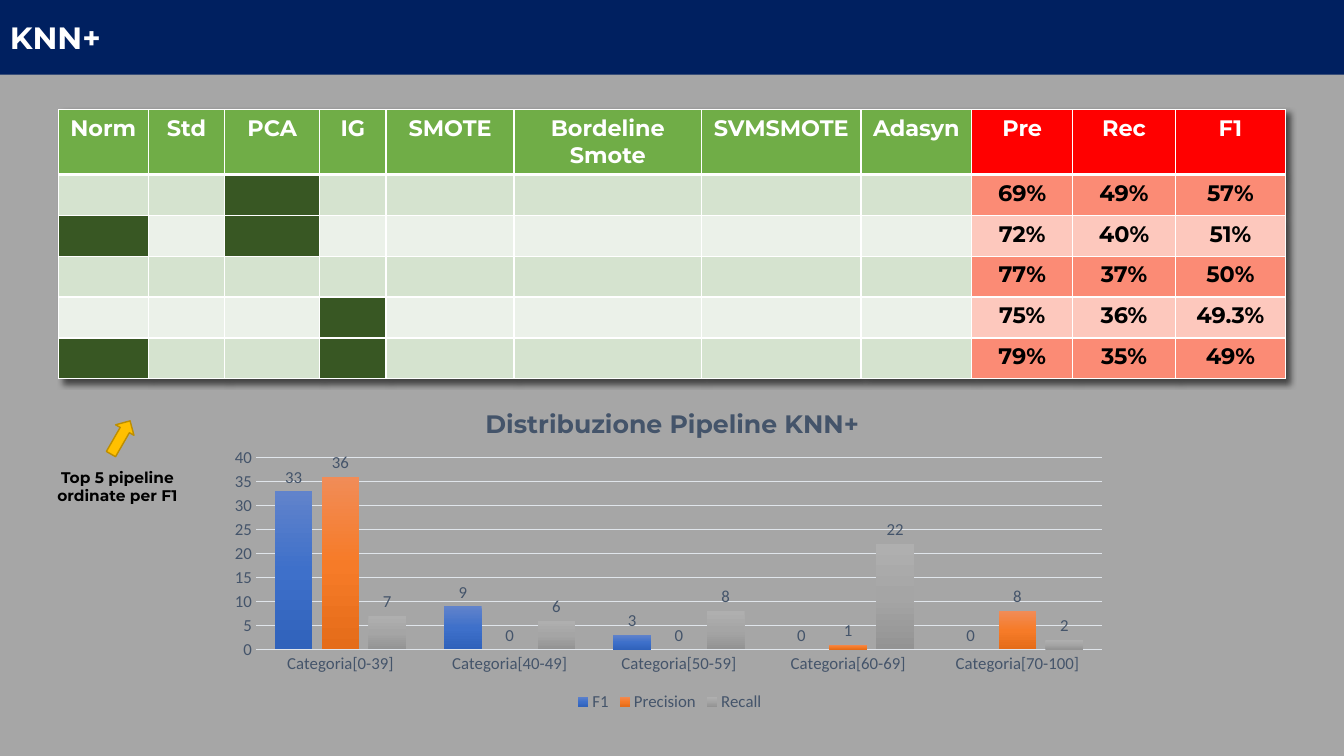
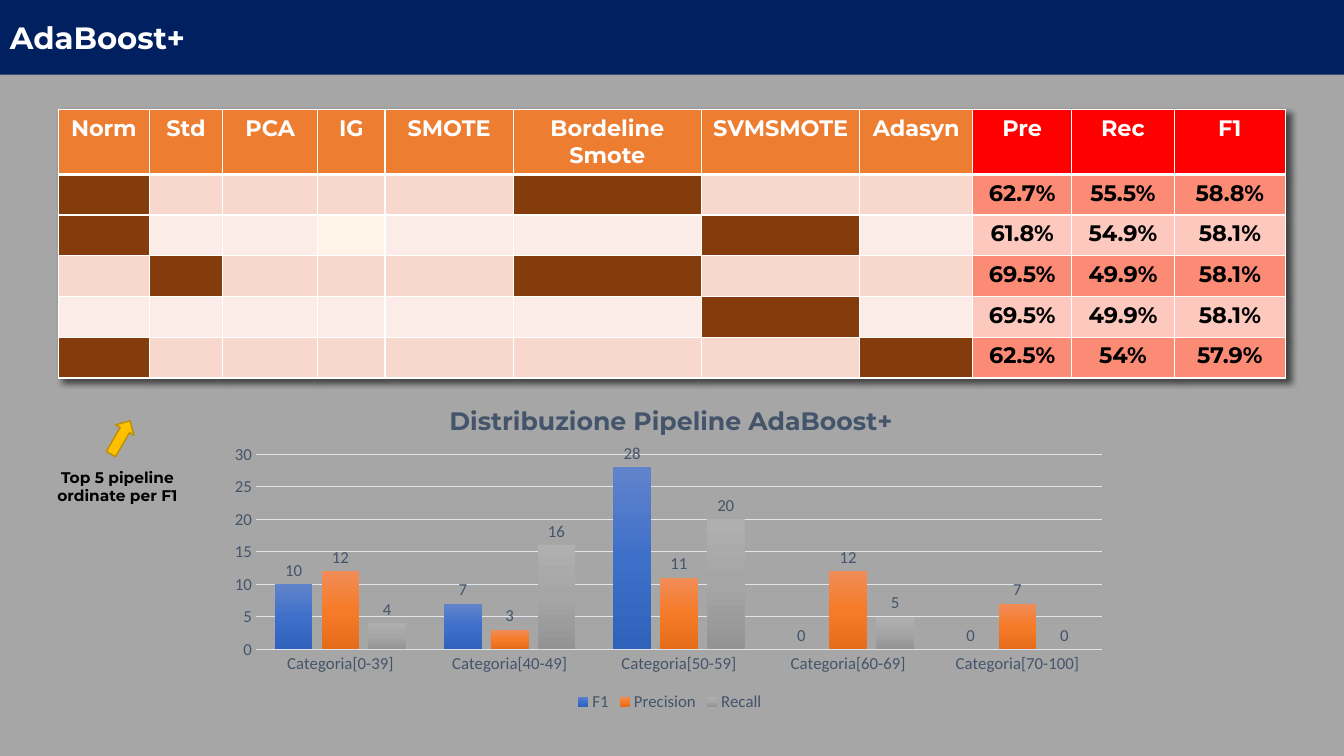
import lxml.etree
import pptx
import pptx.chart.data
import pptx.dml.color
import pptx.enum.chart
import pptx.enum.shapes
import pptx.enum.text
import pptx.oxml
import pptx.oxml.ns
import pptx.util

Inches = pptx.util.Inches
Pt = pptx.util.Pt
RGBColor = pptx.dml.color.RGBColor
qn = pptx.oxml.ns.qn
SubElement = lxml.etree.SubElement
CENTER = pptx.enum.text.PP_ALIGN.CENTER

# Shared look
HEADING_FONT = "Montserrat"
CHART_FONT = "Calibri"
BACKGROUND = RGBColor(0xA6, 0xA6, 0xA6)
NAVY = RGBColor(0x00, 0x20, 0x60)
WHITE = RGBColor(0xFF, 0xFF, 0xFF)
BLACK = RGBColor(0x00, 0x00, 0x00)
SLATE = RGBColor(0x44, 0x54, 0x6A)
GRID = RGBColor(0xE0, 0xE5, 0xEB)
RED = RGBColor(0xFF, 0x00, 0x00)
SCORE_BANDS = (RGBColor(0xFB, 0x8B, 0x75), RGBColor(0xFD, 0xC8, 0xBD))
GOLD = RGBColor(0xFF, 0xC0, 0x00)
DARK_GOLD = RGBColor(0xBD, 0x8E, 0x00)
GREEN = RGBColor(0x70, 0xAD, 0x47)
DARK_GREEN = RGBColor(0x38, 0x57, 0x23)
GREEN_BANDS = (RGBColor(0xD5, 0xE3, 0xCF), RGBColor(0xEB, 0xF1, 0xE9))
ORANGE = RGBColor(0xED, 0x7D, 0x31)
BROWN = RGBColor(0x84, 0x3C, 0x0C)
ORANGE_BANDS = (RGBColor(0xF8, 0xD7, 0xCD), RGBColor(0xFC, 0xEC, 0xE8))
CREAM = RGBColor(0xFF, 0xF4, 0xE7)
SERIES_GRADIENTS = {
    "F1": ("6183CB", "3E70CA", "3062BB"),
    "Precision": ("F18C57", "F67B28", "E56C19"),
    "Recall": ("AFAFAF", "A5A5A5", "939393"),
}

STEPS = ["Norm", "Std", "PCA", "IG", "SMOTE", "Bordeline\nSmote", "SVMSMOTE", "Adasyn"]
HEADERS = STEPS + ["Pre", "Rec", "F1"]
CATEGORIES = [f"Categoria[{span}]" for span in ("0-39", "40-49", "50-59", "60-69", "70-100")]
HEADER_HEIGHT = 0.64
TABLE_HEIGHT = 2.66

# Each pipeline: the steps it uses, then its scores
MODELS = [
    {
        "name": "KNN+",
        "header": GREEN, "used": DARK_GREEN, "bands": GREEN_BANDS, "tints": {},
        "widths": [0.89, 0.76, 0.94, 0.66, 1.27, 1.86, 1.58, 1.1, 1, 1.02, 1.09],
        "pipelines": [
            (["PCA"], ["69%", "49%", "57%"]),
            (["Norm", "PCA"], ["72%", "40%", "51%"]),
            ([], ["77%", "37%", "50%"]),
            (["IG"], ["75%", "36%", "49.3%"]),
            (["Norm", "IG"], ["79%", "35%", "49%"]),
        ],
        "values": [(33, 9, 3, 0, 0), (36, 0, 0, 1, 8), (7, 6, 8, 22, 2)],
        "axis_maximum": 40, "title_place": (0.29, 0.05), "plot_top": 0.22,
    },
    {
        "name": "AdaBoost+",
        "header": ORANGE, "used": BROWN, "bands": ORANGE_BANDS, "tints": {(2, "IG"): CREAM},
        "widths": [0.9, 0.73, 0.94, 0.67, 1.27, 1.87, 1.57, 1.12, 0.98, 1.02, 1.1],
        "pipelines": [
            (["Norm", "Bordeline\nSmote"], ["62.7%", "55.5%", "58.8%"]),
            (["Norm", "SVMSMOTE"], ["61.8%", "54.9%", "58.1%"]),
            (["Std", "Bordeline\nSmote"], ["69.5%", "49.9%", "58.1%"]),
            (["SVMSMOTE"], ["69.5%", "49.9%", "58.1%"]),
            (["Norm", "Adasyn"], ["62.5%", "54%", "57.9%"]),
        ],
        "values": [(10, 7, 28, 0, 0), (12, 3, 11, 12, 7), (4, 16, 20, 5, 0)],
        "axis_maximum": 30, "title_place": (0.25, 0.04), "plot_top": 0.21,
    },
]


def style_text(text_frame, size, color, alignment=None):
    for paragraph in text_frame.paragraphs:
        paragraph.alignment = alignment
        for run in paragraph.runs:
            run.font.name = HEADING_FONT
            run.font.size = Pt(size)
            run.font.bold = True
            run.font.color.rgb = color


def manual_layout(**settings):
    layout = pptx.oxml.parse_xml(
        '<c:layout xmlns:c="http://schemas.openxmlformats.org/drawingml/2006/chart">'
        "<c:manualLayout/></c:layout>")
    for tag, value in settings.items():
        SubElement(layout[0], qn("c:" + tag)).set("val", str(value))
    return layout


presentation = pptx.Presentation()
presentation.slide_width = Inches(13.33)
presentation.slide_height = Inches(7.5)
master_fill = presentation.slide_master.background.fill
master_fill.solid()
master_fill.fore_color.rgb = BACKGROUND

for model in MODELS:
    slide = presentation.slides.add_slide(presentation.slide_layouts[6])

    # Title band
    band = slide.shapes.add_shape(pptx.enum.shapes.MSO_SHAPE.RECTANGLE,
                                  0, 0, Inches(13.33), Inches(0.74))
    band.shadow.inherit = False
    band.fill.solid()
    band.fill.fore_color.rgb = NAVY
    band.line.fill.background()
    band.text_frame.text = model["name"]
    band.text_frame.vertical_anchor = pptx.enum.text.MSO_ANCHOR.MIDDLE
    style_text(band.text_frame, 22, WHITE, pptx.enum.text.PP_ALIGN.LEFT)

    # Table of the best pipelines
    table = slide.shapes.add_table(len(model["pipelines"]) + 1, len(HEADERS), Inches(0.58),
                                   Inches(1.09), Inches(12.17), Inches(TABLE_HEIGHT)).table
    table.first_row = False
    table.horz_banding = False
    table._tbl.tblPr.insert(0, pptx.oxml.parse_xml(
        '<a:effectLst xmlns:a="http://schemas.openxmlformats.org/drawingml/2006/main">'
        '<a:outerShdw blurRad="50800" dist="50800" dir="2700000" algn="tl" rotWithShape="0">'
        '<a:prstClr val="black"><a:alpha val="60000"/></a:prstClr></a:outerShdw></a:effectLst>'))
    for column, width in zip(table.columns, model["widths"]):
        column.width = Inches(width)
    for row in table.rows:
        row.height = Inches((TABLE_HEIGHT - HEADER_HEIGHT) / len(model["pipelines"]))
    table.rows[0].height = Inches(HEADER_HEIGHT)

    for row_index in range(len(table.rows)):
        for column_index, header in enumerate(HEADERS):
            is_step = column_index < len(STEPS)
            band_index = (row_index + 1) % 2
            if row_index == 0:
                text, text_color = header, WHITE
                fill_color = model["header"] if is_step else RED
            else:
                used_steps, scores = model["pipelines"][row_index - 1]
                text_color = BLACK
                if is_step:
                    text = ""
                    plain = model["tints"].get((row_index, header), model["bands"][band_index])
                    fill_color = model["used"] if header in used_steps else plain
                else:
                    text = scores[column_index - len(STEPS)]
                    fill_color = SCORE_BANDS[band_index]

            cell = table.cell(row_index, column_index)
            cell_properties = cell._tc.get_or_add_tcPr()
            for side in "LRTB":
                under_header = (row_index, side) in ((0, "B"), (1, "T"))
                border = SubElement(cell_properties, qn("a:ln" + side),
                                    w=str(Pt(3 if under_header else 1)))
                border_fill = SubElement(border, qn("a:solidFill"))
                SubElement(border_fill, qn("a:srgbClr"), val=str(WHITE))
            cell.fill.solid()
            cell.fill.fore_color.rgb = fill_color
            if text:
                cell.text_frame.text = text
                style_text(cell.text_frame, 16, text_color, CENTER)

    # Distribution chart
    chart_data = pptx.chart.data.CategoryChartData()
    chart_data.categories = CATEGORIES
    for series_name, values in zip(SERIES_GRADIENTS, model["values"]):
        chart_data.add_series(series_name, values)
    chart = slide.shapes.add_chart(pptx.enum.chart.XL_CHART_TYPE.COLUMN_CLUSTERED, Inches(2.18),
                                   Inches(3.82), Inches(8.93), Inches(3.28), chart_data).chart
    chart.font.name = CHART_FONT
    chart.font.size = Pt(12)
    chart.font.color.rgb = SLATE

    chart.has_title = True
    title_frame = chart.chart_title.text_frame
    title_frame.text = f"Distribuzione Pipeline {model['name']}"
    style_text(title_frame, 18, SLATE)
    chart.chart_title.include_in_layout = False
    title_element = chart.chart_title._element
    for layout in title_element.findall(qn("c:layout")):
        title_element.remove(layout)
    title_left, title_top = model["title_place"]
    title_element.find(qn("c:tx")).addnext(
        manual_layout(xMode="edge", yMode="edge", x=title_left, y=title_top))

    plot_area = chart._chartSpace.chart.plotArea
    for layout in plot_area.findall(qn("c:layout")):
        plot_area.remove(layout)
    plot_area.insert(0, manual_layout(
        layoutTarget="inner", xMode="edge", yMode="edge", x=0.04, y=model["plot_top"],
        w=0.94, h=round(0.8 - model["plot_top"], 2)))

    chart.has_legend = True
    chart.legend.position = pptx.enum.chart.XL_LEGEND_POSITION.BOTTOM
    chart.legend.include_in_layout = False

    for axis in (chart.category_axis, chart.value_axis):
        axis.major_tick_mark = pptx.enum.chart.XL_TICK_MARK.NONE
        axis.minor_tick_mark = pptx.enum.chart.XL_TICK_MARK.NONE
    value_axis = chart.value_axis
    value_axis.minimum_scale = 0
    value_axis.maximum_scale = model["axis_maximum"]
    value_axis.major_unit = 5
    value_axis.format.line.fill.background()
    for line in (chart.category_axis.format.line, value_axis.major_gridlines.format.line):
        line.color.rgb = GRID
        line.width = Pt(0.75)

    plot = chart.plots[0]
    plot.gap_width = 100
    plot.overlap = -24
    plot.vary_by_categories = False
    plot.has_data_labels = True
    plot.data_labels.show_value = True
    plot.data_labels.position = pptx.enum.chart.XL_LABEL_POSITION.OUTSIDE_END
    for series in plot.series:
        series.format.fill.gradient()
        series.format.fill.gradient_angle = 270
        stop_list = next(series._element.iter(qn("a:gsLst")))
        for stop in list(stop_list):
            stop_list.remove(stop)
        for position, color in zip((0, 50000, 100000), SERIES_GRADIENTS[series.name]):
            stop = SubElement(stop_list, qn("a:gs"), pos=str(position))
            SubElement(stop, qn("a:srgbClr"), val=color)

    # Note with an arrow to the table
    note = slide.shapes.add_textbox(Inches(0.42), Inches(4.59), Inches(1.49), Inches(0.47))
    note.text_frame.word_wrap = True
    note.text_frame.text = "Top 5 pipeline ordinate per F1"
    style_text(note.text_frame, 11, BLACK, CENTER)
    arrow = slide.shapes.add_shape(pptx.enum.shapes.MSO_SHAPE.DOWN_ARROW,
                                   Inches(1.09), Inches(4.15), Inches(0.21), Inches(0.38))
    arrow.rotation = 209.9
    arrow.shadow.inherit = False
    arrow.fill.solid()
    arrow.fill.fore_color.rgb = GOLD
    arrow.line.color.rgb = DARK_GOLD
    arrow.line.width = Pt(1)

presentation.save("out.pptx")
